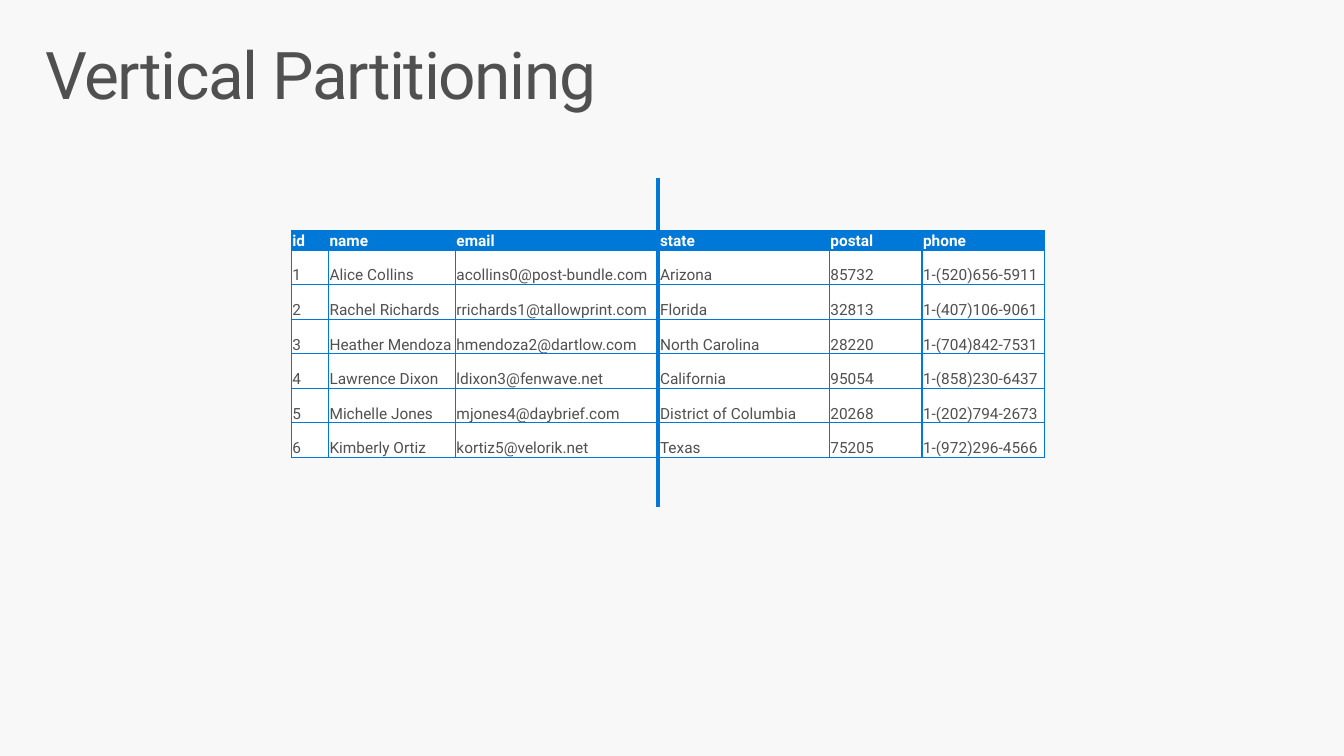
from lxml import etree
from pptx import Presentation
from pptx.dml.color import RGBColor
from pptx.enum.shapes import MSO_CONNECTOR
from pptx.enum.text import MSO_ANCHOR, PP_ALIGN
from pptx.oxml import parse_xml
from pptx.oxml.ns import qn
from pptx.util import Pt

STRAIGHT = MSO_CONNECTOR.STRAIGHT
TOP, BOTTOM = MSO_ANCHOR.TOP, MSO_ANCHOR.BOTTOM
LEFT = PP_ALIGN.LEFT

COLORS = {"background": "F8F8F8", "text": "505050", "blue": "0078D7", "white": "FFFFFF"}
FONT = "Roboto"
DRAWING_NS = "http://schemas.openxmlformats.org/drawingml/2006/main"

COLUMN_WIDTHS = [26.6, 90.7, 145.4, 121.7, 66.2, 87.2]
HEADER_HEIGHT, RECORD_HEIGHT = 13.7, 24.7
RECORDS = [
    ("id", "name", "email", "state", "postal", "phone"),
    ("1", "Alice Collins", "acollins0@post-bundle.com", "Arizona", "85732", "1-(520)656-5911"),
    ("2", "Rachel Richards", "rrichards1@tallowprint.com", "Florida", "32813", "1-(407)106-9061"),
    ("3", "Heather Mendoza", "hmendoza2@dartlow.com", "North Carolina", "28220", "1-(704)842-7531"),
    ("4", "Lawrence Dixon", "ldixon3@fenwave.net", "California", "95054", "1-(858)230-6437"),
    ("5", "Michelle Jones", "mjones4@daybrief.com", "District of Columbia", "20268", "1-(202)794-2673"),
    ("6", "Kimberly Ortiz", "kortiz5@velorik.net", "Texas", "75205", "1-(972)296-4566"),
]


def color(name):
    return RGBColor.from_string(COLORS[name])


def write_text(frame, text, size, color_name, bold, layout):
    for attribute, value in layout.items():
        setattr(frame, attribute, value)
    paragraph = frame.paragraphs[0]
    paragraph.alignment = LEFT
    run = paragraph.add_run()
    run.text = text
    for attribute, value in {"name": FONT, "size": Pt(size), "bold": bold}.items():
        setattr(run.font, attribute, value)
    run.font.color.rgb = color(color_name)
    return paragraph


# Slide and background
presentation = Presentation()
presentation.slide_width, presentation.slide_height = Pt(960), Pt(540)
slide = presentation.slides.add_slide(presentation.slide_layouts[5])
slide.background.fill.solid()
slide.background.fill.fore_color.rgb = color("background")

# Title
title = slide.shapes.title
title.left, title.top, title.width, title.height = Pt(20.9), Pt(23), Pt(918), Pt(70.6)
title_layout = {
    "margin_left": Pt(11.5), "margin_right": Pt(11.5),
    "margin_top": Pt(7.2), "margin_bottom": Pt(7.2),
    "vertical_anchor": TOP, "word_wrap": True,
}
heading = write_text(title.text_frame, "Vertical Partitioning", 47, "text", False, title_layout)
heading.line_spacing = 0.9
heading.runs[0].font._element.set("spc", "-100")

# Customer table
row_heights = [HEADER_HEIGHT] + [RECORD_HEIGHT] * (len(RECORDS) - 1)
customers = slide.shapes.add_table(
    len(RECORDS), len(COLUMN_WIDTHS), Pt(208.1), Pt(164.9),
    Pt(sum(COLUMN_WIDTHS)), Pt(sum(row_heights))).table
customers.horz_banding = False
for column, width in zip(customers.columns, COLUMN_WIDTHS):
    column.width = Pt(width)
for row, height in zip(customers.rows, row_heights):
    row.height = Pt(height)

cell_layout = {
    "margin_left": Pt(0.72), "margin_right": Pt(0.72),
    "margin_top": Pt(0.72), "margin_bottom": Pt(0), "vertical_anchor": BOTTOM,
}
for row_index, record in enumerate(RECORDS):
    is_header = row_index == 0
    for column_index, value in enumerate(record):
        cell = customers.cell(row_index, column_index)
        for attribute, setting in cell_layout.items():
            setattr(cell, attribute, setting)
        write_text(cell.text_frame, value, 11, "white" if is_header else "text", is_header, {})
        # Borders come before the fill in the cell properties
        cell_properties = cell._tc.get_or_add_tcPr()
        for side in ("lnL", "lnR", "lnT", "lnB"):
            cell_properties.append(parse_xml(
                f'<a:{side} xmlns:a="{DRAWING_NS}" w="{Pt(1)}"><a:solidFill>'
                f'<a:srgbClr val="{COLORS["blue"]}"/></a:solidFill></a:{side}>'))
        cell.fill.solid()
        cell.fill.fore_color.rgb = color("blue" if is_header else "white")

# Partition line
partition = slide.shapes.add_connector(STRAIGHT, Pt(470.2), Pt(126.9), Pt(470.2), Pt(362))
partition.line.width = Pt(3)
partition.line.color.rgb = color("blue")
etree.SubElement(partition._element.spPr, qn("a:effectLst"))

presentation.save("out.pptx")
